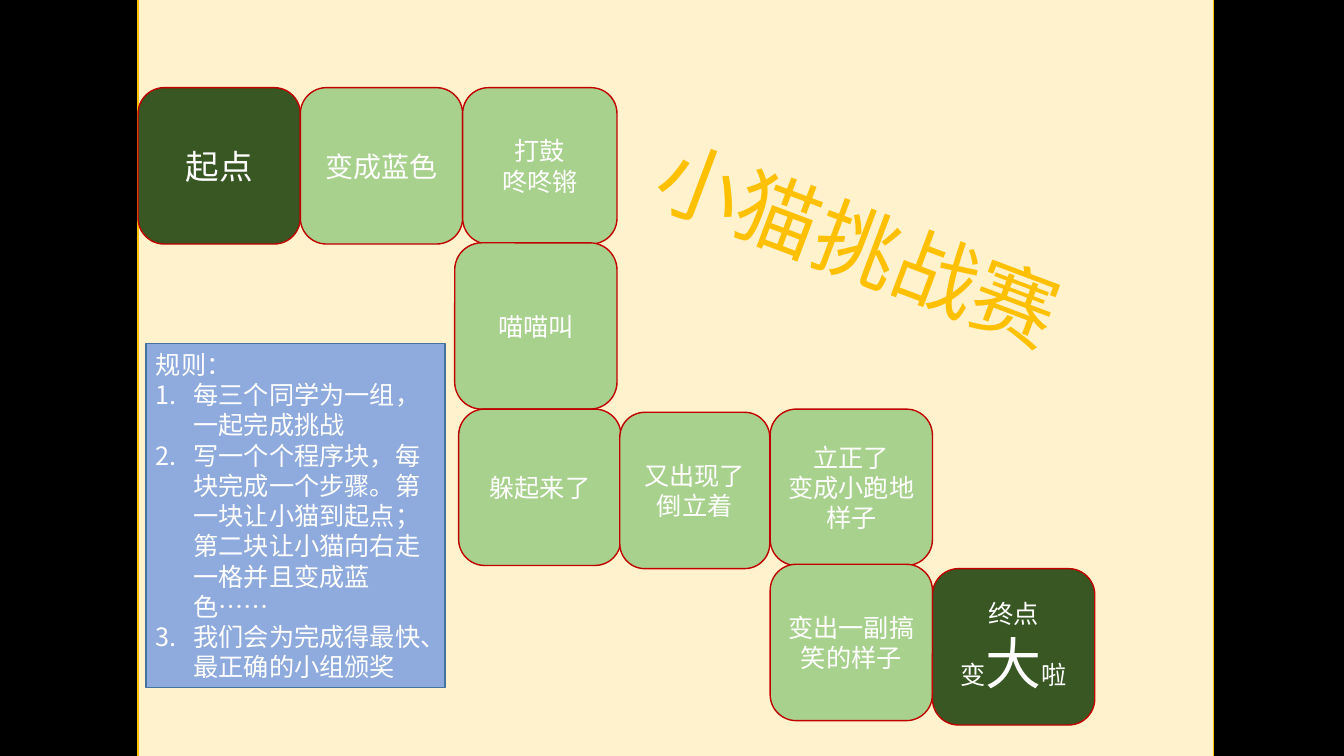
from dataclasses import dataclass

from lxml.etree import SubElement as Sub
from pptx import Presentation
from pptx.dml.color import RGBColor as Rgb
from pptx.enum.lang import MSO_LANGUAGE_ID as Lang
from pptx.enum.shapes import MSO_SHAPE as Form
from pptx.enum.text import MSO_ANCHOR as Anchor, PP_ALIGN as Align
from pptx.oxml.ns import qn
from pptx.util import Cm, Pt


@dataclass(frozen=True)
class Theme:
    """Colours, fonts and type sizes of the slide."""
    black: str = "000000"
    cream: str = "FFF2CC"
    gold: str = "FFC000"
    dark: str = "385723"
    light: str = "A9D18E"
    red: str = "C00000"
    blue: str = "8FAADC"
    edge: str = "43739E"
    white: str = "FFFFFF"
    latin: str = "Calibri"
    asian: str = "Noto Sans CJK JP"
    body: int = 18
    step: int = 20
    start: int = 24
    big: int = 40
    title: int = 60


class Board:
    """Draws the parts of the game board on one slide."""

    def __init__(self, slide, theme):
        """Keep the slide and its theme, and paint the background."""
        self.slide, self.theme = slide, theme
        back = slide.background.fill
        back.solid()
        back.fore_color.rgb = Rgb.from_string(theme.black)

    def style(self, run, size, color, face):
        """Set the size, colour, fonts and language of a run."""
        font = run.font
        font.size, font.name = Pt(size), face
        font.color.rgb = Rgb.from_string(color)
        font.language_id = Lang.SIMPLIFIED_CHINESE
        props = run._r.get_or_add_rPr()
        Sub(props, qn("a:ea"), typeface=self.theme.asian)

    def label(self, shape, text, size, color=None, face=None, align=Align.CENTER):
        """Fill a shape with text, one paragraph a line."""
        frame = shape.text_frame
        frame.word_wrap = True
        frame.vertical_anchor = Anchor.MIDDLE
        frame.text = text
        for para in frame.paragraphs:
            para.alignment = align
            for run in para.runs:
                self.style(run, size, color or self.theme.white,
                           face or self.theme.latin)
        return frame

    def box(self, form, place, fill, line):
        """Add a filled and outlined preset shape."""
        shape = self.slide.shapes.add_shape(form, *map(Cm, place))
        shape.shadow.inherit = False
        shape.fill.solid()
        shape.fill.fore_color.rgb = Rgb.from_string(fill)
        shape.line.color.rgb = Rgb.from_string(line)
        shape.line.width = Pt(1)
        return shape

    def tile(self, place, text, size, fill):
        """Add one rounded step of the path and return its text frame."""
        shape = self.box(Form.ROUNDED_RECTANGLE, place, fill, self.theme.red)
        return self.label(shape, text, size)

    def mix(self, para, parts):
        """Add runs of differing sizes to a paragraph."""
        para.alignment = Align.CENTER
        for text, size in parts:
            run = para.add_run()
            run.text = text
            self.style(run, size, self.theme.white, self.theme.latin)

    def title(self, place, text, turn):
        """Add the slanted title."""
        shape = self.slide.shapes.add_textbox(*map(Cm, place))
        shape.rotation = turn
        self.label(shape, text, self.theme.title, self.theme.gold,
                   self.theme.asian)

    def rules(self, place, head, items):
        """Add the panel with a heading and numbered rules."""
        shape = self.box(Form.RECTANGLE, place, self.theme.blue, self.theme.edge)
        frame = self.label(shape, "\n".join([head, *items]), self.theme.body,
                           align=Align.LEFT)
        for para in frame.paragraphs[1:]:
            props = para._p.get_or_add_pPr()
            props.set("marL", str(Cm(0.95)))
            props.set("indent", str(Cm(-0.95)))
            Sub(props, qn("a:buFont"), typeface="+mj-lt")
            Sub(props, qn("a:buAutoNum"), type="arabicPeriod")


def main():
    """Build the slide and save it."""
    deck = Presentation()
    deck.slide_width, deck.slide_height = Cm(33.87), Cm(19.05)
    look = Theme()
    board = Board(deck.slides.add_slide(deck.slide_layouts[6]), look)
    board.box(Form.RECTANGLE, (3.48, -0.23, 27.1, 19.53), look.cream, look.gold)

    wide, high = 4.09, 3.94
    left, top = 3.48, 2.21
    board.tile((left, top, wide, high), "起点", look.start, look.dark)
    board.tile((left + wide, top, wide, high), "变成蓝色", look.step, look.light)
    steps = [
        (left + 2 * wide, top, 3.89, high, "打鼓\v咚咚锵"),
        (11.46, 6.12, wide, 4.19, "喵喵叫"),
        (11.56, 10.31, wide, high, "躲起来了"),
        (15.62, 10.39, 3.78, high, "又出现了倒立着"),
        (19.41, 10.31, wide, high, "立正了\n变成小跑地样子"),
        (19.41, 14.22, wide, high, "变出一副搞笑的样子"),
    ]
    for *place, text in steps:
        board.tile(place, text, look.body, look.light)
    goal = board.tile((23.5, 14.33, wide, high), "终点", look.body, look.dark)
    board.mix(goal.add_paragraph(),
              [("变", look.body), ("大", look.big), ("啦", look.body)])

    board.title((15.72, 3.94, 11.84, 4.34), "小猫挑战赛", 20.6)
    board.rules((3.68, 8.66, 7.54, 8.66), "规则：", [
        "每三个同学为一组，一起完成挑战",
        "写一个个程序块，每块完成一个步骤。第一块让小猫到起点；"
        "第二块让小猫向右走一格并且变成蓝色……",
        "我们会为完成得最快、最正确的小组颁奖",
    ])
    deck.save("out.pptx")


main()
